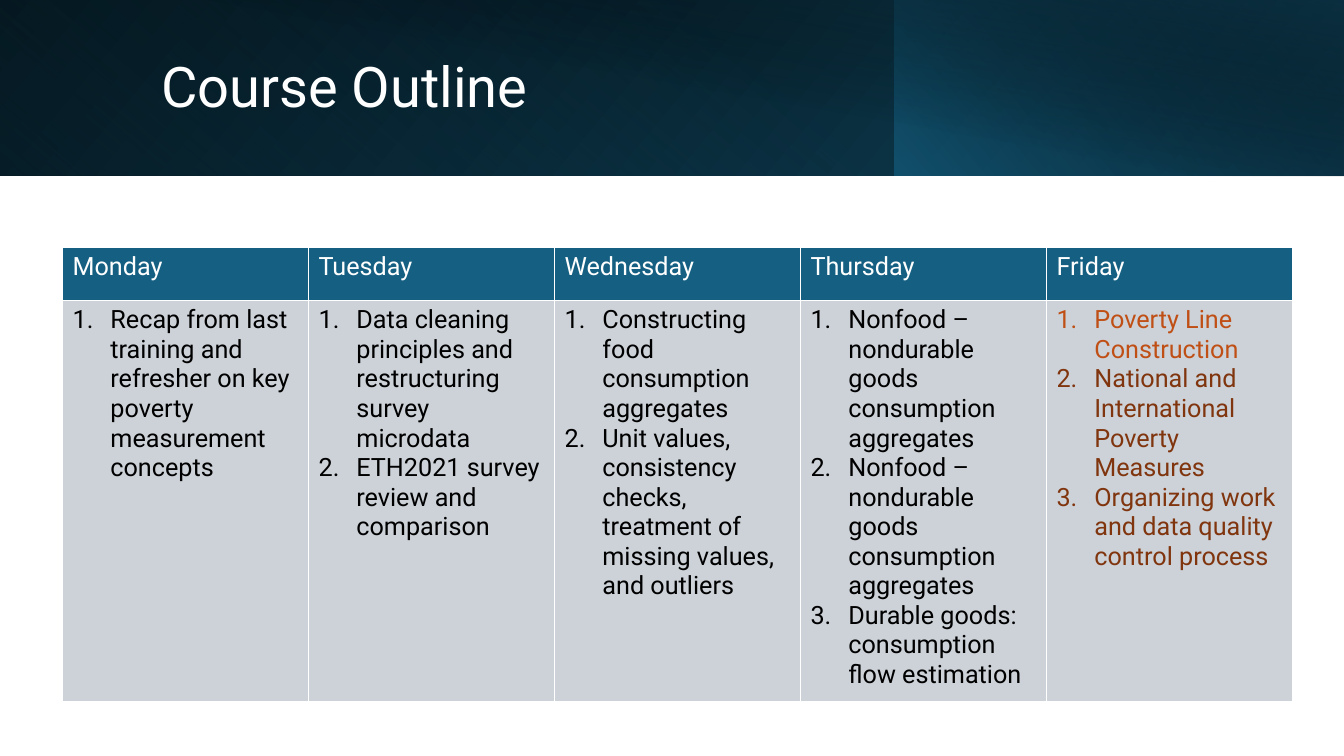
from dataclasses import dataclass

from lxml import etree
from pptx import Presentation
from pptx.dml.color import RGBColor
from pptx.enum.shapes import MSO_SHAPE
from pptx.enum.text import MSO_ANCHOR, MSO_AUTO_SIZE, PP_ALIGN
from pptx.oxml.ns import qn
from pptx.util import Inches, Pt

RECT = MSO_SHAPE.RECTANGLE
MIDDLE = MSO_ANCHOR.MIDDLE
LEFT = PP_ALIGN.LEFT
NO_FIT = MSO_AUTO_SIZE.NONE


@dataclass(frozen=True)
class Theme:
    font: str = "Roboto"
    title: int = 40
    body: int = 18
    white: str = "FFFFFF"
    black: str = "000000"
    blue: str = "156082"
    deep: str = "104862"
    navy: str = "0B3041"
    grey: str = "CCD2D8"
    rust: str = "C04F15"
    brown: str = "80350E"


THEME = Theme()

BANDS = [
    (0, 13.33, 1.74, 40, (0, THEME.black, 100), (100, THEME.deep, 100)),
    (0, 8.88, 1.74, 130, (20, THEME.blue, 0), (100, THEME.navy, 55)),
    (8.87, 4.46, 1.74, 320, (0, THEME.blue, 66), (100, THEME.black, 30)),
    (0.5, 12.83, 1.75, 280, (50, THEME.black, 0), (99, THEME.navy, 52)),
]

GOODS = "Nonfood – nondurable goods consumption aggregates"
DAYS = {
    "Monday": [
        "Recap from last training and refresher on key poverty measurement concepts",
    ],
    "Tuesday": [
        "Data cleaning principles and restructuring survey microdata",
        "ETH2021 survey review and comparison",
    ],
    "Wednesday": [
        "Constructing food consumption aggregates",
        "Unit values, consistency checks, treatment of missing values, and outliers",
    ],
    "Thursday": [
        GOODS,
        GOODS,
        "Durable goods: consumption flow estimation",
    ],
    "Friday": [
        "Poverty Line Construction",
        "National and International Poverty Measures",
        "Organizing work and data quality control process",
    ],
}
TINTS = {"Friday": [THEME.rust, THEME.brown, THEME.brown]}


def apply(item, values):
    for name, value in values.items():
        setattr(item, name, value)


def write(para, text, size, color):
    run = para.add_run()
    run.text = text
    apply(run.font, {"name": THEME.font, "size": Pt(size), "bold": False})
    run.font.color.rgb = RGBColor.from_string(color)


def add_band(slide, left, width, height, angle, *stops):
    band = slide.shapes.add_shape(
        RECT, Inches(left), Inches(0), Inches(width), Inches(height))
    band.shadow.inherit = False
    band.line.fill.background()
    band.fill.gradient()
    band.fill.gradient_angle = 360 - angle
    for stop, (place, color, _) in zip(band.fill.gradient_stops, stops):
        stop.position = place / 100
        stop.color.rgb = RGBColor.from_string(color)
    tints = band._element.iter(qn("a:srgbClr"))
    for tint, (_, _, alpha) in zip(tints, stops):
        etree.SubElement(tint, qn("a:alpha"), val=str(alpha * 1000))


def add_title(slide, text):
    title = slide.shapes.title
    apply(title, {"left": Inches(1.5), "top": Inches(0.32),
                  "width": Inches(10.82), "height": Inches(1.13)})
    apply(title.text_frame, {"vertical_anchor": MIDDLE, "word_wrap": True,
                             "auto_size": NO_FIT})
    para = title.text_frame.paragraphs[0]
    apply(para, {"alignment": LEFT, "line_spacing": 0.9})
    write(para, text, THEME.title, THEME.white)


def paint(cell, color):
    cell.fill.solid()
    cell.fill.fore_color.rgb = RGBColor.from_string(color)
    props = cell._tc.get_or_add_tcPr()
    for spot, side in enumerate(("lnL", "lnR", "lnT", "lnB")):
        edge = etree.Element(qn(f"a:{side}"), w=str(Pt(1)))
        fill = etree.SubElement(edge, qn("a:solidFill"))
        etree.SubElement(fill, qn("a:srgbClr"), val=THEME.white)
        props.insert(spot, edge)


def number(para):
    props = para._p.get_or_add_pPr()
    indent = Inches(0.375)
    props.set("marL", str(indent))
    props.set("indent", str(-indent))
    etree.SubElement(props, qn("a:buFont"), typeface="+mj-lt")
    etree.SubElement(props, qn("a:buAutoNum"), type="arabicPeriod")


def fill_list(cell, items, tints):
    frame = cell.text_frame
    for spot, (text, tint) in enumerate(zip(items, tints)):
        para = frame.add_paragraph() if spot else frame.paragraphs[0]
        number(para)
        write(para, text, THEME.body, tint)


def add_plan(slide):
    table = slide.shapes.add_table(
        2, len(DAYS), Inches(0.62), Inches(2.45),
        Inches(12.2), Inches(4.51)).table
    for row, height in zip(table.rows, (0.53, 3.98)):
        row.height = Inches(height)
    for col, (day, items) in enumerate(DAYS.items()):
        table.columns[col].width = Inches(2.44)
        head, body = table.cell(0, col), table.cell(1, col)
        paint(head, THEME.blue)
        paint(body, THEME.grey)
        write(head.text_frame.paragraphs[0], day, THEME.body, THEME.white)
        fill_list(body, items, TINTS.get(day, [THEME.black] * len(items)))


def main():
    deck = Presentation()
    apply(deck, {"slide_width": Inches(13.33), "slide_height": Inches(7.5)})
    slide = deck.slides.add_slide(deck.slide_layouts[5])
    for band in BANDS:
        add_band(slide, *band)
    title = slide.shapes.title._element
    title.getparent().append(title)
    add_title(slide, "Course Outline")
    add_plan(slide)
    deck.save("out.pptx")


if __name__ == "__main__":
    main()
